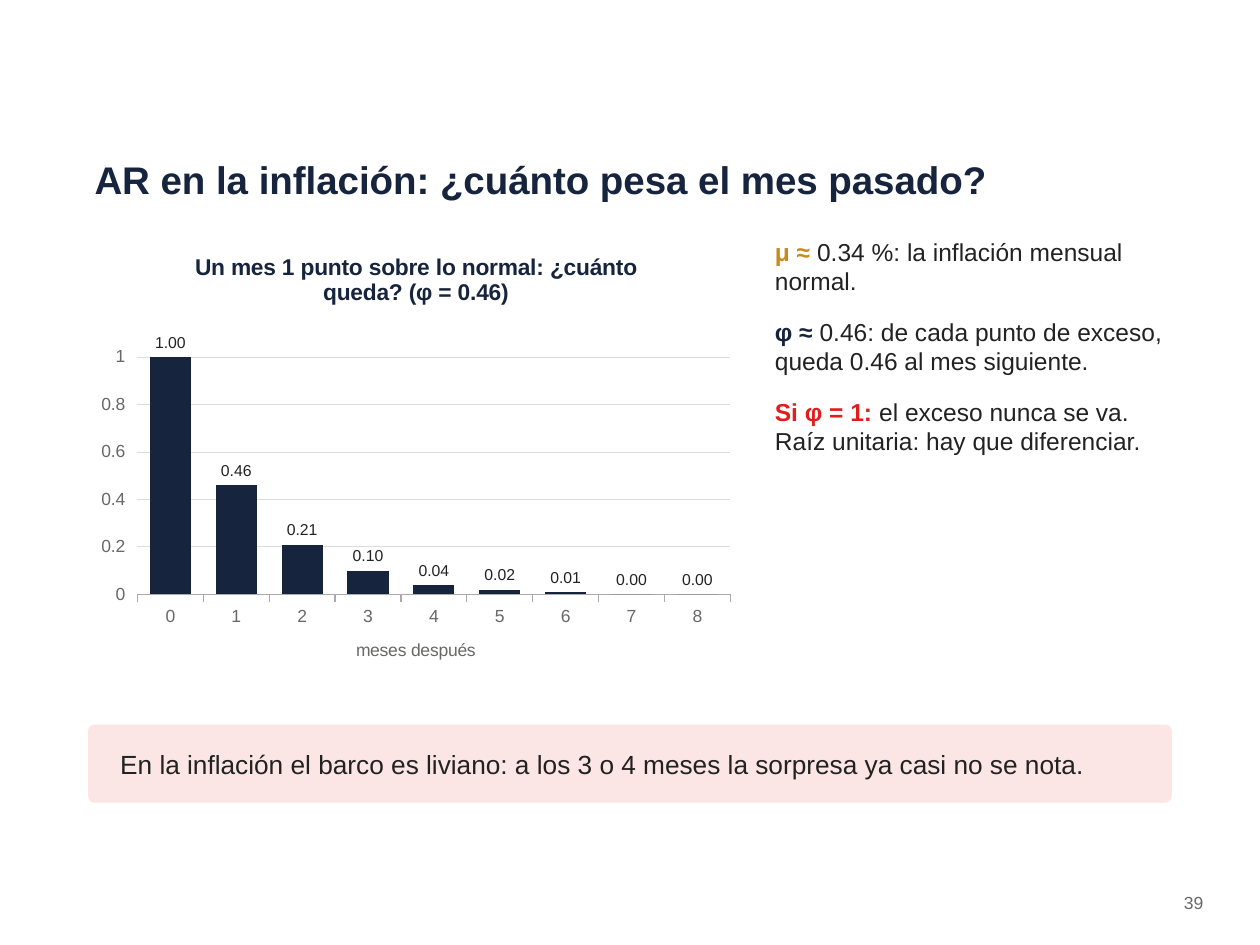
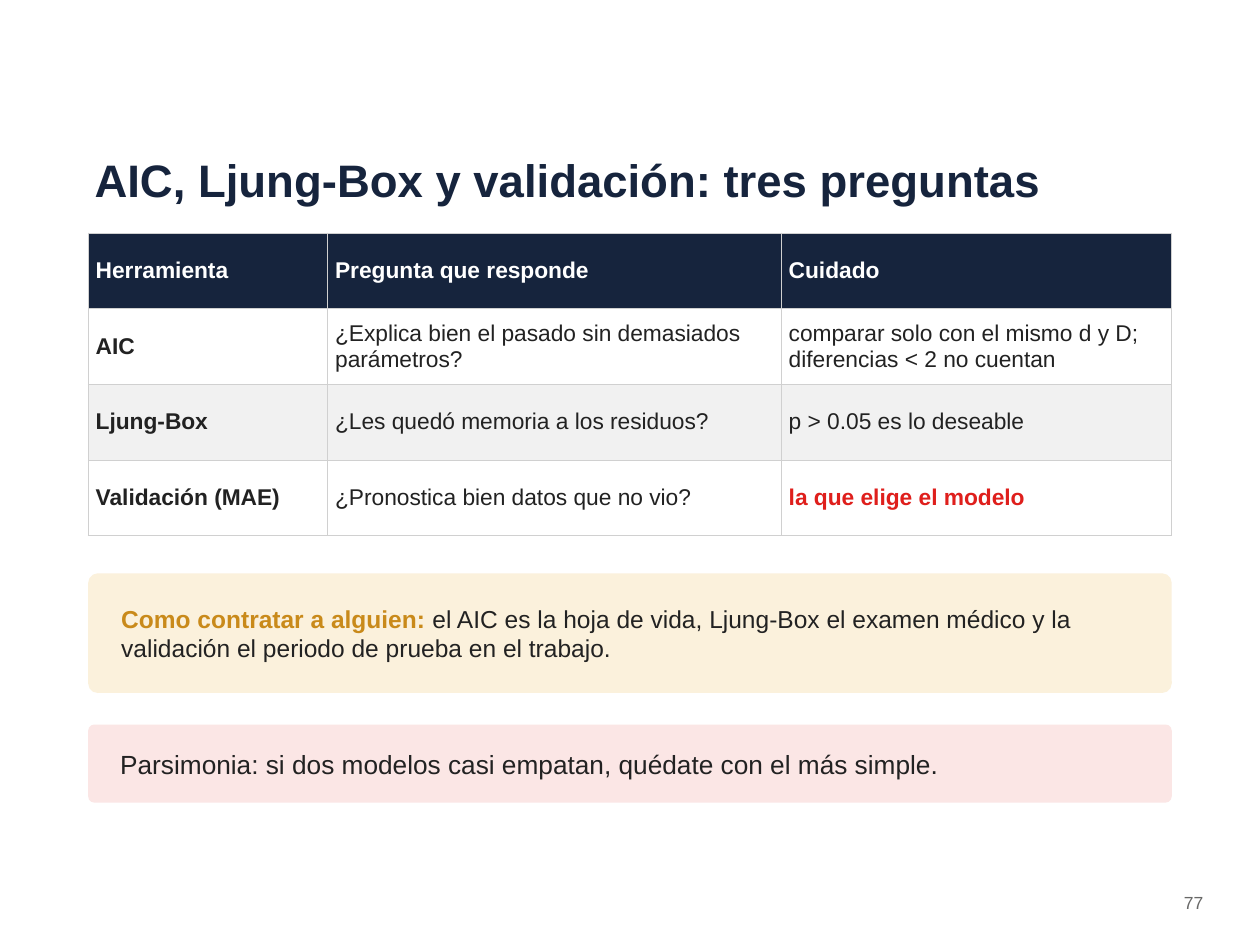
from lxml import etree
from pptx import Presentation
from pptx.chart.data import CategoryChartData
from pptx.dml.color import RGBColor
from pptx.enum.chart import XL_CHART_TYPE, XL_LABEL_POSITION, XL_TICK_LABEL_POSITION, XL_TICK_MARK
from pptx.enum.shapes import MSO_SHAPE
from pptx.enum.text import MSO_ANCHOR, MSO_AUTO_SIZE, PP_ALIGN
from pptx.oxml.ns import qn
from pptx.util import Inches, Pt

FONT = "Arial"
NAVY = RGBColor(0x16, 0x24, 0x3D)
INK = RGBColor(0x22, 0x22, 0x22)
GRAY = RGBColor(0x68, 0x68, 0x67)
AMBER = RGBColor(0xC9, 0x8A, 0x1A)
RED = RGBColor(0xDF, 0x1F, 0x1C)
WHITE = RGBColor(0xFF, 0xFF, 0xFF)
BAND = RGBColor(0xF1, 0xF1, 0xF1)
PALE_RED = RGBColor(0xFB, 0xE6, 0xE5)
PALE_AMBER = RGBColor(0xFB, 0xF1, 0xDC)
AXIS_LINE = RGBColor(0xAA, 0xAA, 0xAA)
GRID_LINE = RGBColor(0xDD, 0xDD, 0xDD)
TABLE_LINE = RGBColor(0xD0, 0xD0, 0xD0)

COLUMNS = XL_CHART_TYPE.COLUMN_CLUSTERED
OUTSIDE_END = XL_LABEL_POSITION.OUTSIDE_END
LOW = XL_TICK_LABEL_POSITION.LOW
TICK_OUT = XL_TICK_MARK.OUTSIDE
ROUNDED = MSO_SHAPE.ROUNDED_RECTANGLE
TOP, MIDDLE = MSO_ANCHOR.TOP, MSO_ANCHOR.MIDDLE
LEFT, RIGHT = PP_ALIGN.LEFT, PP_ALIGN.RIGHT
FIXED = MSO_AUTO_SIZE.NONE

LAYOUT_TITLE_BODY, LAYOUT_TITLE = 1, 5
MARGIN, CONTENT_TOP, CONTENT_WIDTH = 0.7, 1.85, 8.6
CHART_WIDTH, CHART_HEIGHT, GUTTER = 5.2, 3.6, 0.2
ROW_HEIGHT = 0.6

INFLATION = {
    "title": "AR en la inflación: ¿cuánto pesa el mes pasado?",
    "title_size": 22,
    "number": "39",
    "takeaway": "En la inflación el barco es liviano: a los 3 o 4 meses la sorpresa ya casi no se nota.",
    "chart_title": "Un mes 1 punto sobre lo normal: ¿cuánto queda? (φ = 0.46)",
    "axis_title": "meses después",
    "remaining": [1, 0.46, 0.21, 0.1, 0.04, 0.02, 0.01, 0, 0],
    "notes": [
        [("μ ≈ ", AMBER, True), ("0.34 %: la inflación mensual normal.", INK, False)],
        [("φ ≈ ", NAVY, True),
         ("0.46: de cada punto de exceso, queda 0.46 al mes siguiente.", INK, False)],
        [("Si φ = 1: ", RED, True),
         ("el exceso nunca se va. Raíz unitaria: hay que diferenciar.", INK, False)],
    ],
}
QUESTIONS = {
    "title": "AIC, Ljung-Box y validación: tres preguntas",
    "title_size": 26,
    "number": "77",
    "takeaway": "Parsimonia: si dos modelos casi empatan, quédate con el más simple.",
    "column_widths": [1.9, 3.6, 3.1],
    "rows": [
        ["Herramienta", "Pregunta que responde", "Cuidado"],
        ["AIC", "¿Explica bien el pasado sin demasiados parámetros?",
         "comparar solo con el mismo d y D; diferencias < 2 no cuentan"],
        ["Ljung-Box", "¿Les quedó memoria a los residuos?", "p > 0.05 es lo deseable"],
        ["Validación (MAE)", "¿Pronostica bien datos que no vio?", "la que elige el modelo"],
    ],
    "highlight": (3, 2),
    "analogy": [
        ("Como contratar a alguien: ", AMBER, True),
        ("el AIC es la hoja de vida, Ljung-Box el examen médico y la validación "
         "el periodo de prueba en el trabajo.", INK, False),
    ],
}


def style(font, size, color, bold=False):
    font.name = FONT
    font.size = Pt(size)
    font.color.rgb = color
    font.bold = bold


def place(shape, left, top, width, height):
    shape.left, shape.top = Inches(left), Inches(top)
    shape.width, shape.height = Inches(width), Inches(height)


def write(shape, paragraphs, size, anchor=TOP, align=LEFT, after=4, side=0.05):
    frame = shape.text_frame
    frame.word_wrap = True
    frame.auto_size = FIXED
    frame.vertical_anchor = anchor
    frame.margin_left = frame.margin_right = Inches(side)
    frame.margin_top = frame.margin_bottom = Inches(0.03)
    for index, runs in enumerate(paragraphs):
        paragraph = frame.add_paragraph() if index else frame.paragraphs[0]
        paragraph.alignment = align
        paragraph.space_before = Pt(0)
        paragraph.space_after = Pt(after)
        for text, color, bold in runs:
            run = paragraph.add_run()
            run.text = text
            style(run.font, size, color, bold)


def add_callout(slide, top, height, fill, runs, size):
    callout = slide.shapes.add_shape(
        ROUNDED, Inches(MARGIN), Inches(top), Inches(CONTENT_WIDTH), Inches(height))
    callout.adjustments[0] = 0.08
    callout.shadow.inherit = False
    callout.fill.solid()
    callout.fill.fore_color.rgb = fill
    callout.line.fill.background()
    write(callout, [runs], size, MIDDLE, side=0.24)


def start_slide(deck, layout, content):
    slide = deck.slides.add_slide(deck.slide_layouts[layout])
    title = slide.shapes.title
    place(title, MARGIN, 1.05, CONTENT_WIDTH, 0.75)
    write(title, [[(content["title"], NAVY, True)]], content["title_size"], MIDDLE)
    number = slide.shapes.add_textbox(Inches(9), Inches(7.05), Inches(0.6), Inches(0.3))
    write(number, [[(content["number"], GRAY, False)]], 10, align=RIGHT)
    add_callout(slide, 5.75, 0.62, PALE_RED, [(content["takeaway"], INK, False)], 15)
    return slide


def add_decay_chart(slide, content):
    remaining = content["remaining"]
    decay = CategoryChartData()
    decay.categories = [str(month) for month in range(len(remaining))]
    decay.add_series("Series 1", remaining)
    chart = slide.shapes.add_chart(
        COLUMNS, Inches(MARGIN), Inches(CONTENT_TOP),
        Inches(CHART_WIDTH), Inches(CHART_HEIGHT), decay).chart
    chart.font.name = FONT
    chart.font.size = Pt(10)
    chart.has_legend = False
    months, share = chart.category_axis, chart.value_axis
    for titled, text, size, color, bold in (
            (chart, content["chart_title"], 13, NAVY, True),
            (months, content["axis_title"], 10, GRAY, False)):
        heading = (titled.chart_title if titled is chart else titled.axis_title).text_frame
        heading.text = text
        style(heading.paragraphs[0].runs[0].font, size, color, bold)
    for axis in (months, share):
        axis.major_tick_mark = TICK_OUT
        style(axis.tick_labels.font, 10, GRAY)
    months.tick_label_position = LOW
    months.format.line.color.rgb = AXIS_LINE
    months.format.line.width = Pt(0.75)
    share.minimum_scale, share.maximum_scale, share.major_unit = 0, 1.15, 0.2
    share.format.line.fill.background()
    share.major_gridlines.format.line.color.rgb = GRID_LINE
    share.major_gridlines.format.line.width = Pt(0.5)
    plot = chart.plots[0]
    plot.gap_width = 60
    plot.vary_by_categories = False
    bars = plot.series[0]
    bars.format.fill.solid()
    bars.format.fill.fore_color.rgb = NAVY
    labels = bars.data_labels
    labels.show_value = True
    labels.position = OUTSIDE_END
    labels.number_format = "0.00"
    labels.number_format_is_linked = False
    style(labels.font, 9, INK)


def add_notes(slide, notes):
    body = slide.placeholders[1]
    left = MARGIN + CHART_WIDTH + GUTTER
    place(body, left, CONTENT_TOP, MARGIN + CONTENT_WIDTH - left, CHART_HEIGHT)
    write(body, notes, 14, after=12)
    for paragraph in body.text_frame.paragraphs:
        properties = paragraph._p.get_or_add_pPr()
        properties.set("marL", "0")
        properties.set("indent", "0")
        etree.SubElement(properties, qn("a:buNone"))


def add_borders(cell):
    properties = cell._tc.get_or_add_tcPr()
    for side in ("a:lnL", "a:lnR", "a:lnT", "a:lnB"):
        border = etree.SubElement(properties, qn(side), w=str(Pt(0.5)))
        fill = etree.SubElement(border, qn("a:solidFill"))
        etree.SubElement(fill, qn("a:srgbClr"), val=str(TABLE_LINE))


def add_questions_table(slide, content):
    rows, widths = content["rows"], content["column_widths"]
    table = slide.shapes.add_table(
        len(rows), len(widths), Inches(MARGIN), Inches(CONTENT_TOP),
        Inches(CONTENT_WIDTH), Inches(ROW_HEIGHT * len(rows))).table
    for column, width in zip(table.columns, widths):
        column.width = Inches(width)
    for r, row in enumerate(rows):
        table.rows[r].height = Inches(ROW_HEIGHT)
        fill = NAVY if r == 0 else WHITE if r % 2 else BAND
        for c, text in enumerate(row):
            highlighted = (r, c) == content["highlight"]
            color = WHITE if r == 0 else RED if highlighted else INK
            cell = table.cell(r, c)
            add_borders(cell)
            cell.fill.solid()
            cell.fill.fore_color.rgb = fill
            cell.vertical_anchor = MIDDLE
            cell.margin_left = cell.margin_right = Inches(0.06)
            cell.margin_top = cell.margin_bottom = Inches(0.03)
            cell.text_frame.text = text
            style(cell.text_frame.paragraphs[0].runs[0].font, 13, color,
                  r == 0 or c == 0 or highlighted)


def main():
    deck = Presentation()
    deck.slide_width, deck.slide_height = Inches(10), Inches(7.5)

    inflation = start_slide(deck, LAYOUT_TITLE_BODY, INFLATION)
    add_decay_chart(inflation, INFLATION)
    add_notes(inflation, INFLATION["notes"])

    questions = start_slide(deck, LAYOUT_TITLE, QUESTIONS)
    add_questions_table(questions, QUESTIONS)
    add_callout(questions, 4.55, 0.95, PALE_AMBER, QUESTIONS["analogy"], 14)

    deck.save("out.pptx")


if __name__ == "__main__":
    main()
